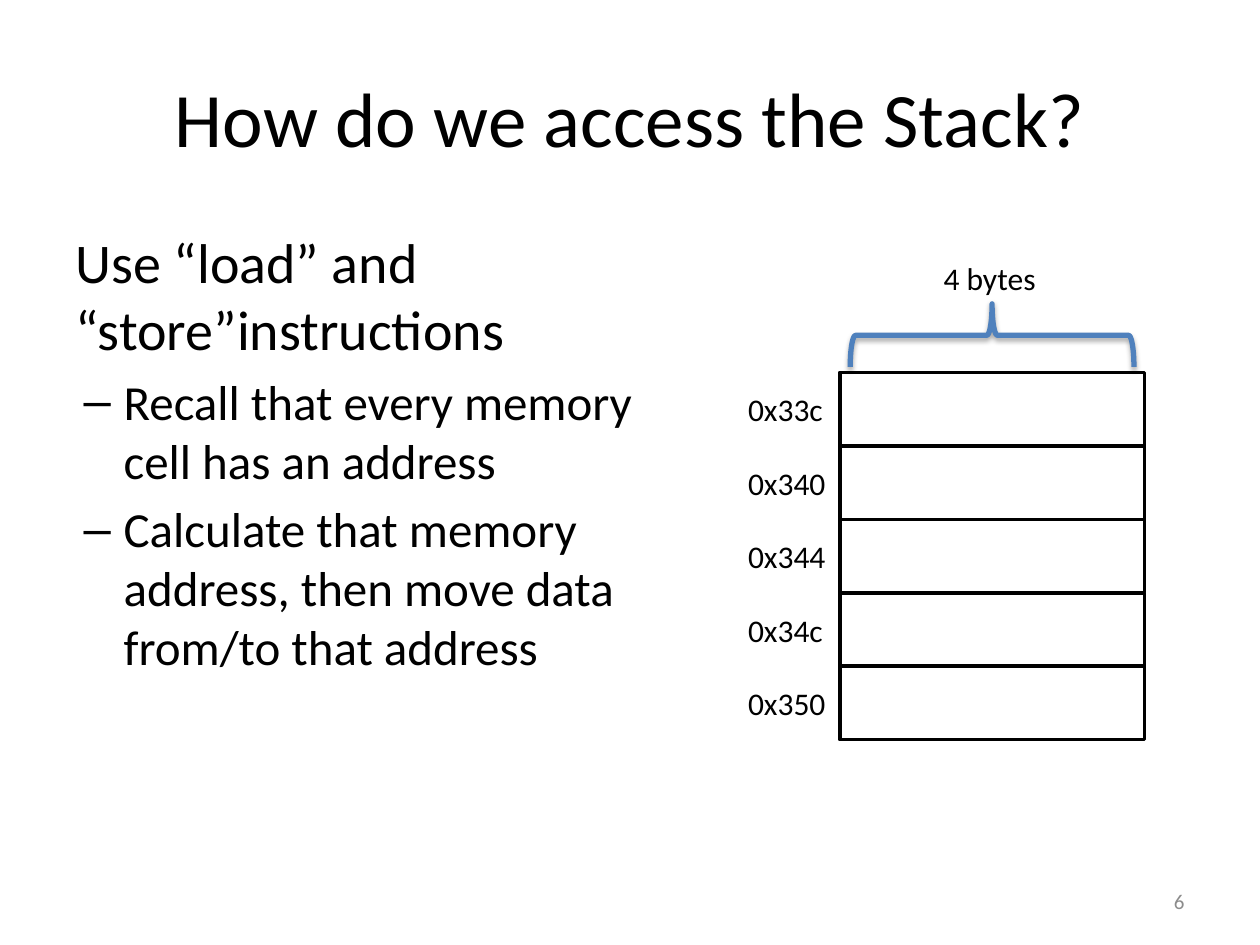
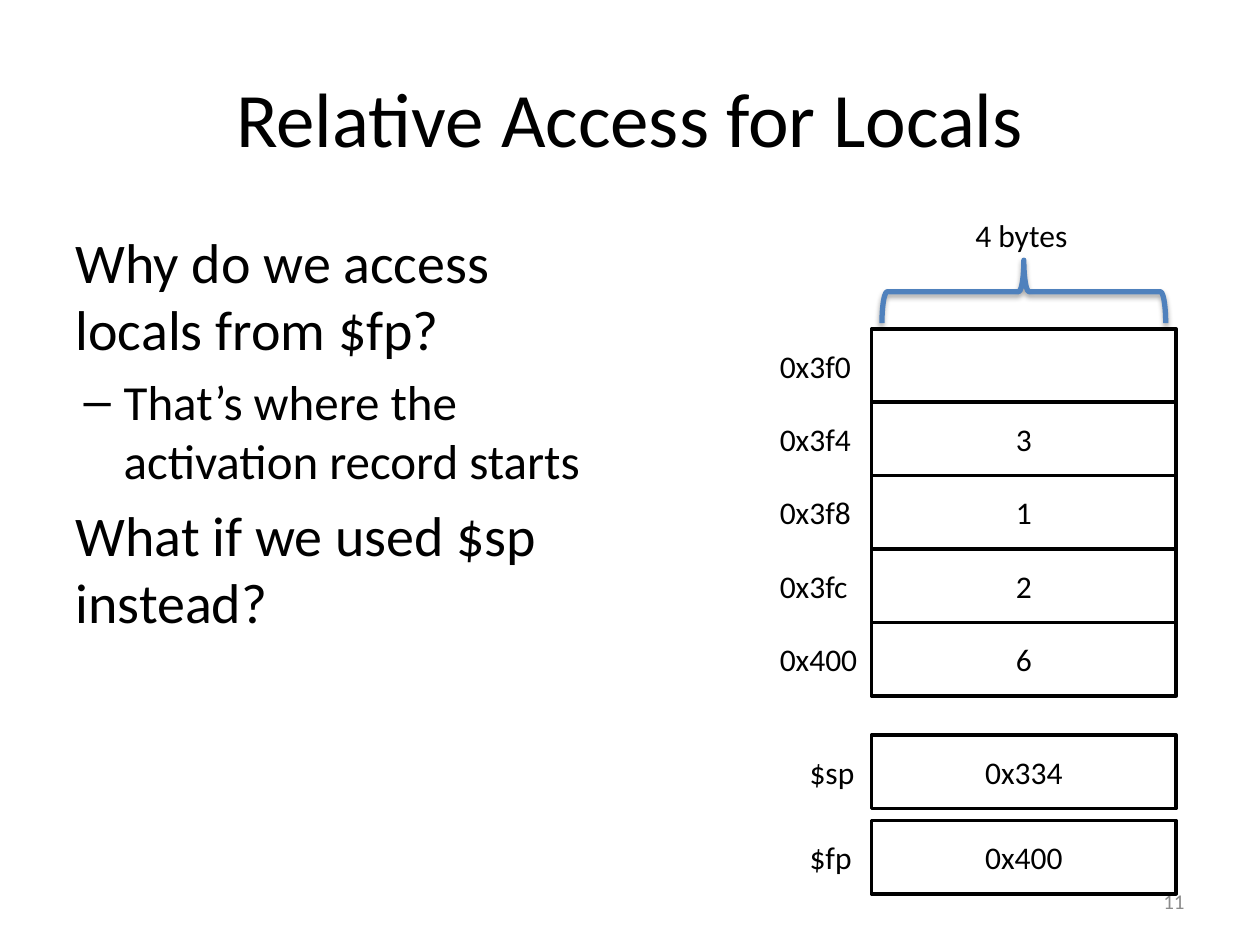
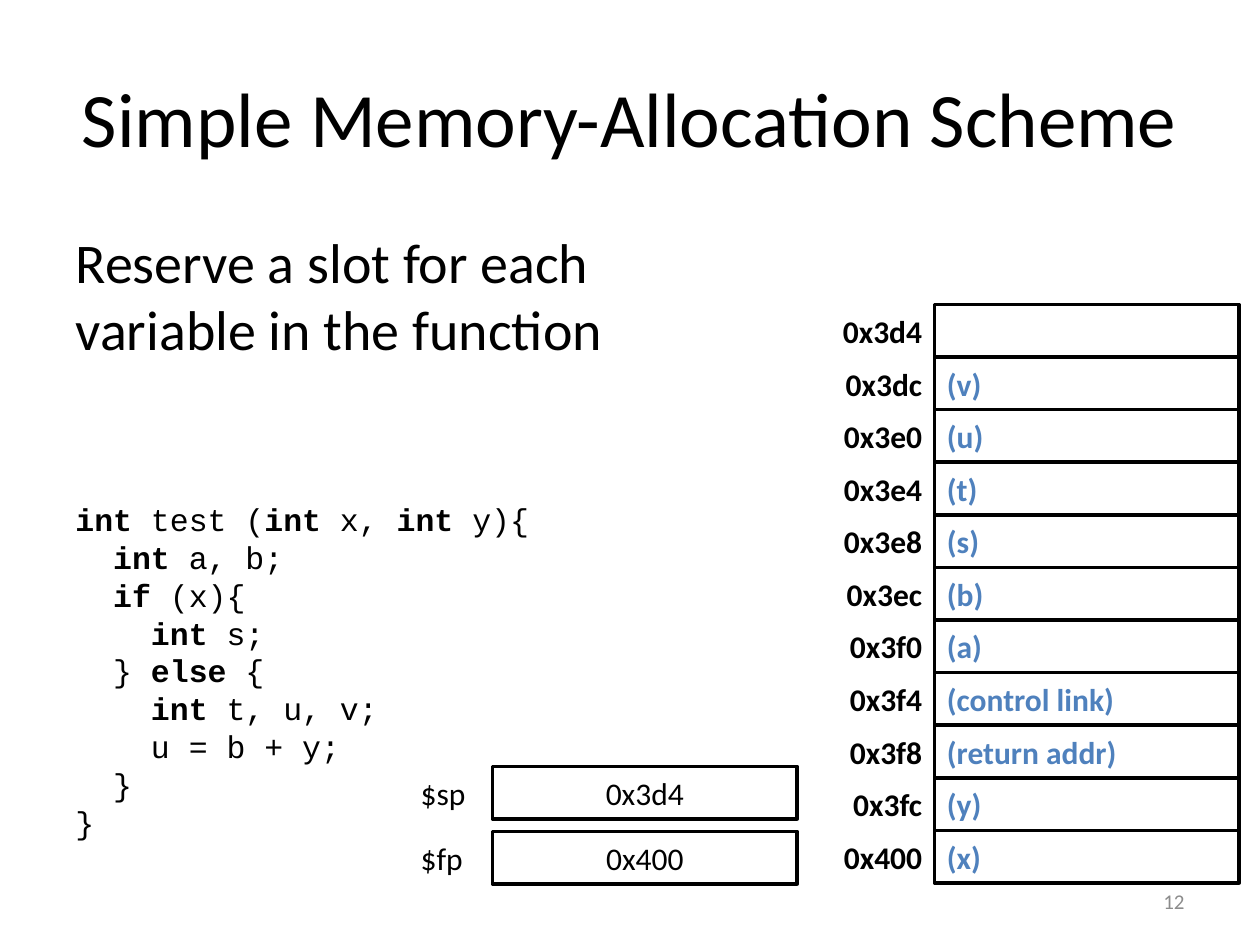
from dataclasses import dataclass

from lxml import etree
from pptx import Presentation
from pptx import util as u
from pptx.dml import color
from pptx.enum import shapes, text
from pptx.oxml import ns


@dataclass(frozen=True)
class Style:
    size: int
    color: str = "000000"
    bold: bool = False
    font: str = "Calibri"


@dataclass(frozen=True)
class Theme:
    title: Style = Style(44)
    levels: tuple = (Style(32), Style(28))
    label: Style = Style(18)
    strong_label: Style = Style(18, bold=True)
    slot: Style = Style(18, "4F81BD", bold=True)
    code: Style = Style(18, font="Courier New")
    keyword: Style = Style(18, bold=True, font="Courier New")
    page_number: Style = Style(12, "8C8C8C")
    fill: str = "FFFFFF"
    line: str = "000000"
    brace: str = "4F81BD"


# Lengths in centimetres
CELL_WIDTH = 6.14
ROW_HEIGHT = 1.48
LOW_ROW_HEIGHT = 1.06
LABEL_HEIGHT = 1.02
LABEL_WIDTH = 2.2
MEMORY_GAP = 2.1
BRACE_WIDTH, BRACE_LENGTH = 1.27, 5.72
BRACE_RISE = 0.75
CAPTION_RISE = 2.41

LEFT, CENTER, RIGHT = text.PP_ALIGN.LEFT, text.PP_ALIGN.CENTER, text.PP_ALIGN.RIGHT
MIDDLE = text.MSO_ANCHOR.MIDDLE


def rgb(value):
    return color.RGBColor.from_string(value)


def cm(*lengths):
    return [u.Cm(length) for length in lengths]


def format_run(run, style):
    run.font.size = u.Pt(style.size)
    run.font.name = style.font
    run.font.bold = style.bold
    run.font.color.rgb = rgb(style.color)


def format_paragraph(paragraph, style, align=None):
    paragraph.alignment = align
    for run in paragraph.runs:
        format_run(run, style)


def set_bullet(paragraph):
    """Plain text on the first level, a hanging dash on the second."""
    properties = paragraph._p.get_or_add_pPr()
    margin, indent = cm(0.97, -0.81) if paragraph.level else (0, 0)
    properties.set("marL", str(margin))
    properties.set("indent", str(indent))
    if paragraph.level:
        etree.SubElement(properties, ns.qn("a:buChar"), char="–")
    else:
        etree.SubElement(properties, ns.qn("a:buNone"))


def add_soft_shadow(shape):
    effects = shape._element.spPr.find(ns.qn("a:effectLst"))
    shadow = etree.SubElement(
        effects, ns.qn("a:outerShdw"), blurRad=str(u.Pt(3.1)),
        dist=str(u.Pt(1.8)), dir="5400000", rotWithShape="0")
    black = etree.SubElement(shadow, ns.qn("a:srgbClr"), val="000000")
    etree.SubElement(black, ns.qn("a:alpha"), val="35000")


class Deck:
    def __init__(self, theme):
        self.theme = theme
        self.presentation = Presentation()
        self.presentation.slide_width, self.presentation.slide_height = cm(25.4, 19.05)
        self.slide = None

    def new_slide(self, title, number):
        self.slide = self.presentation.slides.add_slide(self.presentation.slide_layouts[1])
        shape = self.slide.shapes.title
        self.place(shape, 1.27, 0.76, 22.86, 3.18)
        shape.text_frame.text = title
        shape.text_frame.vertical_anchor = MIDDLE
        format_paragraph(shape.text_frame.paragraphs[0], self.theme.title, CENTER)
        self.text_box(str(number), 18.2, 17.65, 5.93, self.theme.page_number, RIGHT)

    def place(self, shape, left, top, width, height):
        shape.left, shape.top, shape.width, shape.height = cm(left, top, width, height)
        shape.text_frame.auto_size = text.MSO_AUTO_SIZE.NONE

    def body(self, items, width=11.43, height=12.57):
        """Fill the body placeholder with (level, wording) items."""
        shape = self.slide.placeholders[1]
        self.place(shape, 1.27, 4.45, width, height)
        frame = shape.text_frame
        frame.text = "\n".join(wording for _, wording in items)
        for paragraph, (level, _) in zip(frame.paragraphs, items):
            paragraph.level = level
            set_bullet(paragraph)
            format_paragraph(paragraph, self.theme.levels[level])

    def text_box(self, wording, left, top, width, style, align=LEFT):
        shape = self.slide.shapes.add_textbox(*cm(left, top, width, LABEL_HEIGHT))
        frame = shape.text_frame
        frame.word_wrap = True
        frame.vertical_anchor = MIDDLE
        frame.text = wording
        format_paragraph(frame.paragraphs[0], style, align)

    def cell(self, wording, left, top, height, style, align):
        shape = self.slide.shapes.add_shape(
            shapes.MSO_SHAPE.RECTANGLE, *cm(left, top, CELL_WIDTH, height))
        shape.shadow.inherit = False
        shape.fill.solid()
        shape.fill.fore_color.rgb = rgb(self.theme.fill)
        shape.line.color.rgb = rgb(self.theme.line)
        shape.line.width = u.Pt(2)
        if wording:
            shape.text_frame.text = wording
            shape.text_frame.vertical_anchor = MIDDLE
            format_paragraph(shape.text_frame.paragraphs[0], style, align)

    def labelled_cells(self, rows, left, top, height, gap, pitch=None,
                       label_style=None, label_align=LEFT,
                       cell_style=None, cell_align=CENTER):
        """Stack (label, value) rows; labels start `gap` to the left of the cells."""
        for index, (label, value) in enumerate(rows):
            row_top = top + index * (pitch or height)
            self.cell(value, left, row_top, height,
                      cell_style or self.theme.label, cell_align)
            self.text_box(label, left - gap, row_top + (height - LABEL_HEIGHT) / 2,
                          LABEL_WIDTH if gap >= MEMORY_GAP else gap,
                          label_style or self.theme.label, label_align)

    def width_brace(self, column_left, column_top):
        center = column_left + CELL_WIDTH / 2
        middle = column_top - BRACE_RISE
        shape = self.slide.shapes.add_shape(
            shapes.MSO_SHAPE.RIGHT_BRACE,
            *cm(center - BRACE_WIDTH / 2, middle - BRACE_LENGTH / 2,
                BRACE_WIDTH, BRACE_LENGTH))
        shape.rotation = 270
        shape.fill.background()
        shape.line.color.rgb = rgb(self.theme.brace)
        shape.line.width = u.Pt(3)
        shape.shadow.inherit = False
        add_soft_shadow(shape)
        self.text_box("4 bytes", center - 1.35, column_top - CAPTION_RISE, 2.6,
                      self.theme.label, CENTER)

    def code(self, lines, left, top, width, height):
        """Write code lines; wording between asterisks is a keyword."""
        shape = self.slide.shapes.add_textbox(*cm(left, top, width, height))
        frame = shape.text_frame
        frame.word_wrap = True
        for index, line in enumerate(lines):
            paragraph = frame.add_paragraph() if index else frame.paragraphs[0]
            for part, wording in enumerate(line.split("*")):
                if wording:
                    run = paragraph.add_run()
                    run.text = wording
                    format_run(run, self.theme.keyword if part % 2 else self.theme.code)


def access_slide(deck):
    deck.new_slide("How do we access the Stack?", 6)
    deck.body([
        (0, "Use “load” and “store”instructions"),
        (1, "Recall that every memory cell has an address"),
        (1, "Calculate that memory address, then move data from/to that address"),
    ], width=12.07, height=13.54)
    left, top = 16.93, 7.51
    addresses = ["0x33c", "0x340", "0x344", "0x34c", "0x350"]
    deck.labelled_cells([(address, "") for address in addresses],
                        left, top, ROW_HEIGHT, MEMORY_GAP)
    deck.width_brace(left, top)


def locals_slide(deck):
    deck.new_slide("Relative Access for Locals", 11)
    deck.body([
        (0, "Why do we access locals from $fp?"),
        (1, "That’s where the activation record starts"),
        (0, "What if we used $sp instead?"),
    ])
    left, top = 17.57, 6.63
    memory = [("0x3f0", ""), ("0x3f4", "3"), ("0x3f8", "1"), ("0x3fc", "2"), ("0x400", "6")]
    deck.labelled_cells(memory, left, top, ROW_HEIGHT, MEMORY_GAP)
    deck.width_brace(left, top)
    deck.labelled_cells([("$sp", "0x334"), ("$fp", "0x400")],
                        left, 14.82, ROW_HEIGHT, gap=1.5, pitch=1.72)


def allocation_slide(deck):
    deck.new_slide("Simple Memory-Allocation Scheme", 12)
    deck.body([(0, "Reserve a slot for each variable in the function")])
    deck.code([
        "*int* test (*int* x, *int* y){",
        "  *int* a, b;",
        "  *if* (x){",
        "    *int* s;",
        "  } *else* {",
        "    *int* t, u, v;",
        "    u = b + y;",
        "  }",
        "}",
    ], 1.27, 9.96, 12.7, 7.19)
    slots = [
        ("0x3d4", ""), ("0x3dc", "(v)"), ("0x3e0", "(u)"), ("0x3e4", "(t)"),
        ("0x3e8", "(s)"), ("0x3ec", "(b)"), ("0x3f0", "(a)"),
        ("0x3f4", "(control link)"), ("0x3f8", "(return addr)"),
        ("0x3fc", "(y)"), ("0x400", "(x)"),
    ]
    deck.labelled_cells(slots, 18.84, 6.14, LOW_ROW_HEIGHT, gap=LABEL_WIDTH,
                        label_style=deck.theme.strong_label, label_align=RIGHT,
                        cell_style=deck.theme.slot, cell_align=LEFT)
    deck.labelled_cells([("$sp", "0x3d4"), ("$fp", "0x400")],
                        9.93, 15.45, LOW_ROW_HEIGHT, gap=1.7, pitch=1.31)


def main():
    deck = Deck(Theme())
    access_slide(deck)
    locals_slide(deck)
    allocation_slide(deck)
    deck.presentation.save("out.pptx")


if __name__ == "__main__":
    main()
